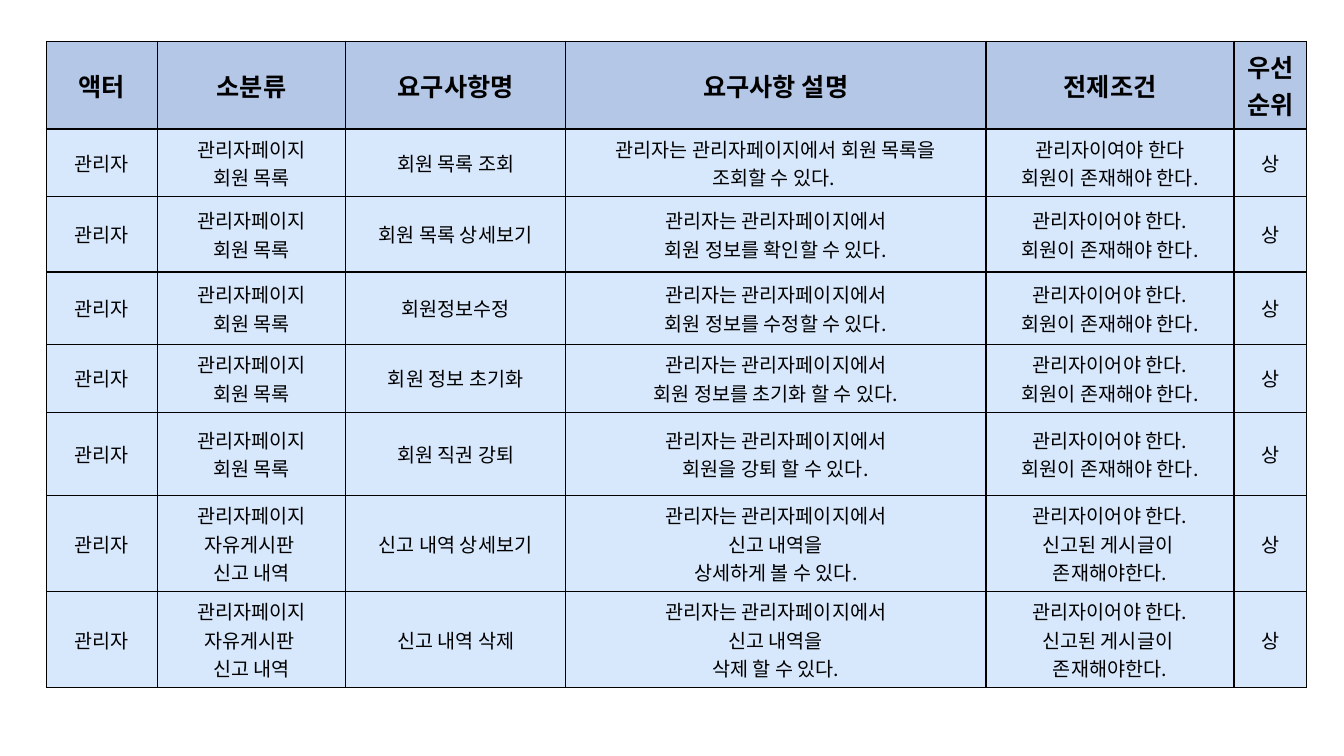
import dataclasses

import lxml.etree
import pptx
import pptx.dml.color
import pptx.enum.text
import pptx.oxml.ns
import pptx.util

Inches = pptx.util.Inches
qn = pptx.oxml.ns.qn


@dataclasses.dataclass(frozen=True)
class Theme:
    """Colours, typeface and type sizes of the deck."""
    font: str = "Noto Sans CJK KR"
    ink: str = "000000"
    header_fill: str = "B4C7E7"
    body_fill: str = "D8E8FC"
    header_size: int = 18
    body_size: int = 14
    border: float = 1


THEME = Theme()
TABLE_BOX = (0.46, 0.41, 12.49, 6.11)
COLUMN_WIDTHS = (1.1, 1.87, 2.18, 4.17, 2.46, 0.72)
ROW_HEIGHTS = (0.87, 0.67, 0.75, 0.72, 0.67, 0.83, 0.71, 0.76)

HEADINGS = ("액터", "소분류", "요구사항명", "요구사항 설명", "전제조건", "우선순위")
ACTOR, PRIORITY = "관리자", "상"
MEMBERS = "관리자페이지\n회원 목록"
REPORTS = "관리자페이지\n자유게시판 \n신고 내역"
ON_PAGE = "관리자는 관리자페이지에서"
MEMBER_EXISTS = "관리자이어야 한다.\n회원이 존재해야 한다."
REPORT_EXISTS = "관리자이어야 한다.\n신고된 게시글이 \n존재해야한다."

# Category, requirement, description, precondition
REQUIREMENTS = (
    (MEMBERS, "회원 목록 조회", f"{ON_PAGE} 회원 목록을\n조회할 수 있다. ",
     "관리자이여야 한다\n회원이 존재해야 한다."),
    (MEMBERS, "회원 목록 상세보기", f"{ON_PAGE}\n회원 정보를 확인할 수 있다.", MEMBER_EXISTS),
    (MEMBERS, "회원정보수정", f"{ON_PAGE}\n회원 정보를 수정할 수 있다.", MEMBER_EXISTS),
    (MEMBERS, "회원 정보 초기화", f"{ON_PAGE}\n회원 정보를 초기화 할 수 있다.", MEMBER_EXISTS),
    (MEMBERS, "회원 직권 강퇴", f"{ON_PAGE}\n회원을 강퇴 할 수 있다.", MEMBER_EXISTS),
    (REPORTS, "신고 내역 상세보기", f"{ON_PAGE}\n신고 내역을\n상세하게 볼 수 있다.", REPORT_EXISTS),
    (REPORTS, "신고 내역 삭제", f"{ON_PAGE}\n신고 내역을\n삭제 할 수 있다.", REPORT_EXISTS),
)


def set_format(target, values):
    """Set each named attribute of the target."""
    for name, value in values.items():
        setattr(target, name, value)


def add_borders(cell):
    """Draw a solid line on all four sides of a cell, ahead of its fill."""
    properties = cell._tc.get_or_add_tcPr()
    for position, side in enumerate(("lnL", "lnR", "lnT", "lnB")):
        line = lxml.etree.Element(qn(f"a:{side}"), w=str(pptx.util.Pt(THEME.border)))
        fill = lxml.etree.SubElement(line, qn("a:solidFill"))
        lxml.etree.SubElement(fill, qn("a:srgbClr"), val=THEME.ink)
        properties.insert(position, line)


def fill_cell(cell, text, fill, size, bold):
    """Write centred text into a cell and give it a fill and borders."""
    cell.fill.solid()
    cell.fill.fore_color.rgb = pptx.dml.color.RGBColor.from_string(fill)
    cell.vertical_anchor = pptx.enum.text.MSO_ANCHOR.MIDDLE
    cell.text = text
    for para in cell.text_frame.paragraphs:
        para.alignment = pptx.enum.text.PP_ALIGN.CENTER
        for span in para.runs:
            set_format(span.font, {"name": THEME.font, "size": pptx.util.Pt(size), "bold": bold})
            span.font.color.rgb = pptx.dml.color.RGBColor.from_string(THEME.ink)
            lxml.etree.SubElement(span.font._element, qn("a:ea"), typeface=THEME.font)
    add_borders(cell)


def add_requirements_table(page, box):
    """Place the requirements table in the box, given in inches."""
    rows = [HEADINGS] + [(ACTOR, *requirement, PRIORITY) for requirement in REQUIREMENTS]
    table = page.shapes.add_table(len(rows), len(HEADINGS), *map(Inches, box)).table
    for column, width in zip(table.columns, COLUMN_WIDTHS):
        column.width = Inches(width)
    for row, height in zip(table.rows, ROW_HEIGHTS):
        row.height = Inches(height)
    header_style = {"fill": THEME.header_fill, "size": THEME.header_size, "bold": True}
    body_style = {"fill": THEME.body_fill, "size": THEME.body_size, "bold": False}
    for index, texts in enumerate(rows):
        style = body_style if index else header_style
        for cell, text in zip(table.rows[index].cells, texts):
            fill_cell(cell, text, **style)


def build_deck():
    """Build the one-page deck."""
    deck = pptx.Presentation()
    set_format(deck, {"slide_width": Inches(13.33), "slide_height": Inches(7.5)})
    page = deck.slides.add_slide(deck.slide_layouts[6])
    add_requirements_table(page, TABLE_BOX)
    return deck


build_deck().save("out.pptx")
